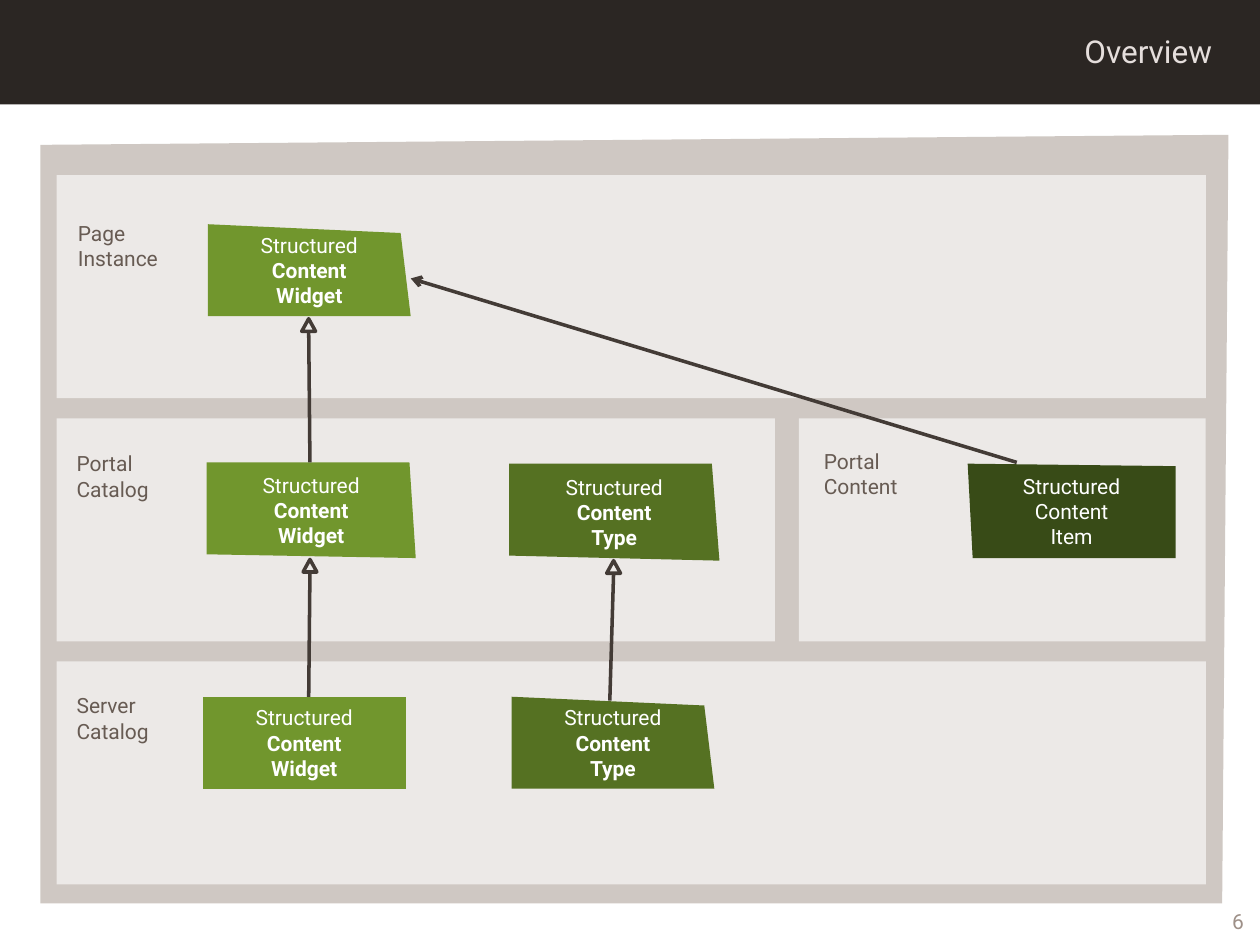
from lxml import etree
from pptx import Presentation
from pptx.dml.color import RGBColor
from pptx.enum.shapes import MSO_CONNECTOR, MSO_SHAPE
from pptx.enum.text import MSO_ANCHOR, PP_ALIGN
from pptx.oxml.ns import qn
from pptx.util import Inches, Pt

RECTANGLE = MSO_SHAPE.RECTANGLE
TRIANGLE = MSO_SHAPE.ISOSCELES_TRIANGLE
STRAIGHT = MSO_CONNECTOR.STRAIGHT
LEFT, CENTER, RIGHT = PP_ALIGN.LEFT, PP_ALIGN.CENTER, PP_ALIGN.RIGHT
TOP, MIDDLE = MSO_ANCHOR.TOP, MSO_ANCHOR.MIDDLE

COLORS = {
    "bar": "2B2623",
    "title": "E5DEDC",
    "number": "9E9088",
    "frame": "CFC8C3",
    "panel": "ECE9E7",
    "label": "675B53",
    "arrow": "433B36",
    "white": "FFFFFF",
    "widget": "71962D",
    "type": "557122",
    "item": "384B17",
}


def write_text(shape, lines, color, size=12, align=LEFT, anchor=TOP, wrap=True, bold_from=None):
    frame = shape.text_frame
    frame.word_wrap = wrap
    frame.vertical_anchor = anchor
    for index, line in enumerate(lines):
        paragraph = frame.paragraphs[0] if index == 0 else frame.add_paragraph()
        paragraph.alignment = align
        run = paragraph.add_run()
        run.text = line
        run.font.name = "Roboto"
        run.font.size = Pt(size)
        run.font.bold = bold_from is not None and index >= bold_from
        run.font.color.rgb = RGBColor.from_string(COLORS[color])


def add_outline(points, color):
    corners = [(Inches(x), Inches(y)) for x, y in points]
    builder = slide.shapes.build_freeform(*corners[0])
    builder.add_line_segments(corners[1:], close=True)
    shape = builder.convert_to_shape()
    shape.shadow.inherit = False
    shape.fill.solid()
    shape.fill.fore_color.rgb = RGBColor.from_string(COLORS[color])
    shape.line.fill.background()
    return shape


presentation = Presentation()
presentation.slide_width = Inches(10)
presentation.slide_height = Inches(7.5)
slide = presentation.slides.add_slide(presentation.slide_layouts[5])

bands = [
    (0, 0, 10, 0.83, "bar"),
    (0.45, 1.39, 9.12, 1.77, "panel"),
    (0.45, 3.32, 5.7, 1.77, "panel"),
    (6.34, 3.32, 3.23, 1.77, "panel"),
    (0.45, 5.25, 9.12, 1.77, "panel"),
]
add_outline([(0.32, 1.15), (9.75, 1.07), (9.7, 7.17), (0.32, 7.17)], "frame")
for left, top, width, height, color in bands:
    band = slide.shapes.add_shape(
        RECTANGLE, Inches(left), Inches(top), Inches(width), Inches(height)
    )
    band.shadow.inherit = False
    band.fill.solid()
    band.fill.fore_color.rgb = RGBColor.from_string(COLORS[color])
    band.line.fill.background()

title = slide.shapes.title
title.left, title.top = Inches(2.87), Inches(0.2)
title.width, title.height = Inches(6.85), Inches(0.4)
write_text(title, ["Overview"], "title", size=18, align=RIGHT, anchor=MIDDLE)
band.element.addnext(title.element)

number = slide.shapes.add_textbox(Inches(8.14), Inches(7.17), Inches(1.83), Inches(0.28))
write_text(number, ["6"], "number", align=RIGHT, anchor=MIDDLE)

labels = [
    (0.52, 1.7, "Page Instance"),
    (0.51, 3.53, "Portal Catalog"),
    (6.44, 3.51, "Portal Content"),
    (0.51, 5.45, "Server Catalog"),
]
for left, top, text in labels:
    label = slide.shapes.add_textbox(Inches(left), Inches(top), Inches(0.84), Inches(0.5))
    write_text(label, [text], "label")

cards = [
    ([(1.65, 1.78), (3.18, 1.85), (3.26, 2.51), (1.65, 2.51)], "Widget", 1),
    ([(1.64, 3.67), (3.25, 3.67), (3.3, 4.43), (1.64, 4.4)], "Widget", 1),
    ([(1.61, 5.53), (3.22, 5.53), (3.22, 6.26), (1.61, 6.26)], "Widget", 1),
    ([(4.04, 3.68), (5.65, 3.68), (5.71, 4.45), (4.04, 4.41)], "Type", 1),
    ([(4.06, 5.53), (5.59, 5.6), (5.67, 6.26), (4.06, 6.26)], "Type", 1),
    ([(7.68, 3.68), (9.33, 3.7), (9.33, 4.43), (7.72, 4.43)], "Item", None),
]
for points, kind, bold_from in cards:
    card = add_outline(points, kind.lower())
    write_text(card, ["Structured", "Content", kind], "white", align=CENTER,
               anchor=MIDDLE, wrap=False, bold_from=bold_from)

arrows = [
    (2.46, 3.67, 2.45, 2.63, "triangle"),
    (2.45, 5.53, 2.46, 4.54, "triangle"),
    (4.84, 5.56, 4.87, 4.55, "triangle"),
    (8.07, 3.67, 3.26, 2.21, "arrow"),
]
for start_x, start_y, end_x, end_y, head in arrows:
    connector = slide.shapes.add_connector(
        STRAIGHT, Inches(start_x), Inches(start_y), Inches(end_x), Inches(end_y)
    )
    outlined = [connector]
    properties = connector.element.spPr
    if head == "triangle":
        tip = slide.shapes.add_shape(
            TRIANGLE, Inches(end_x - 0.055), Inches(end_y - 0.1), Inches(0.11), Inches(0.1)
        )
        tip.shadow.inherit = False
        tip.fill.background()
        outlined.append(tip)
    for shape in outlined:
        shape.line.color.rgb = RGBColor.from_string(COLORS["arrow"])
        shape.line.width = Pt(2)
    if head == "arrow":
        etree.SubElement(properties.find(qn("a:ln")), qn("a:tailEnd"), type="arrow")
    etree.SubElement(properties, qn("a:effectLst"))

presentation.save("out.pptx")
